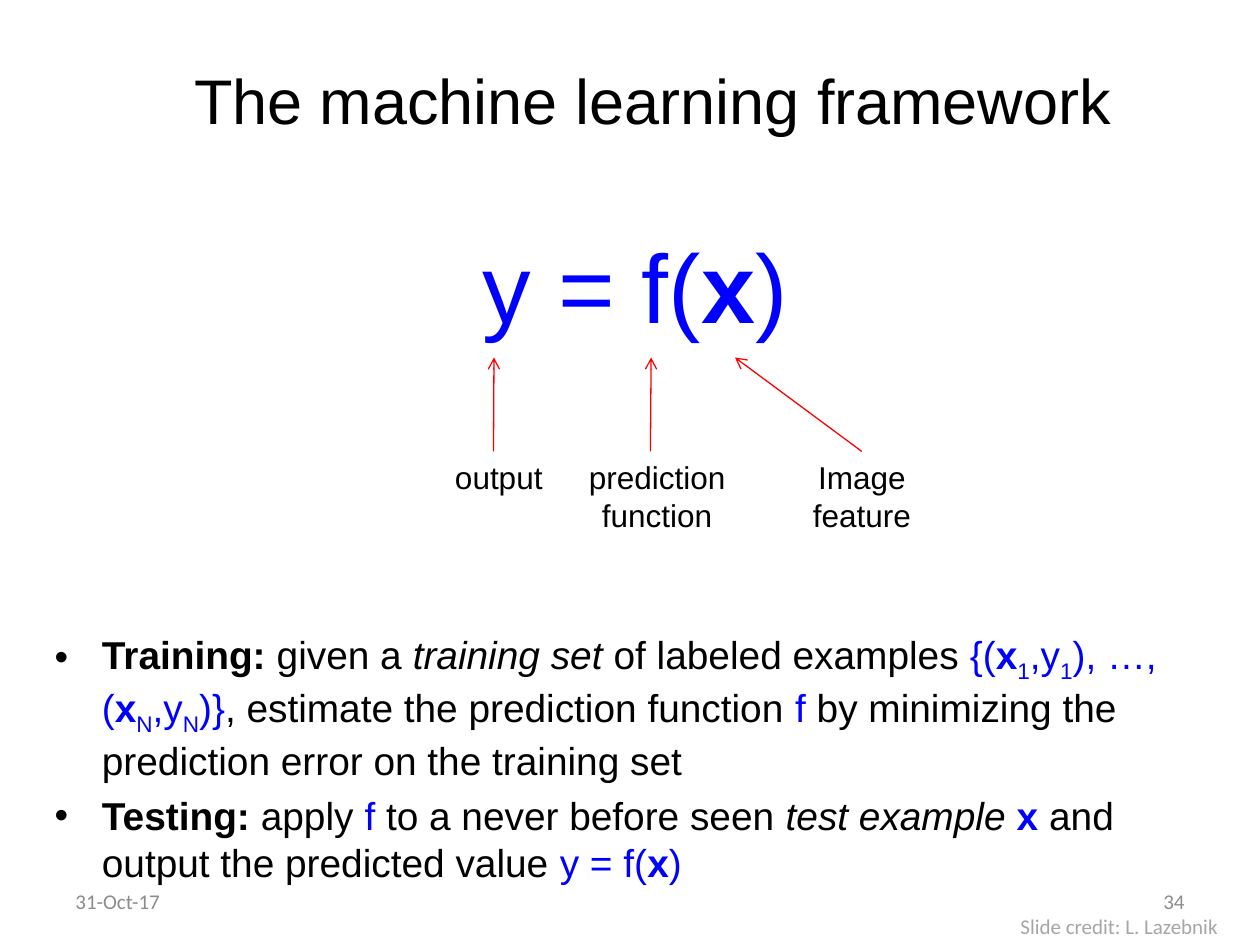
from dataclasses import dataclass

from lxml import etree
from pptx import Presentation
from pptx.dml.color import RGBColor
from pptx.enum.shapes import MSO_CONNECTOR
from pptx.enum.text import MSO_ANCHOR, MSO_AUTO_SIZE, PP_ALIGN
from pptx.oxml.ns import qn
from pptx.util import Pt

LEFT, CENTER, RIGHT = PP_ALIGN.LEFT, PP_ALIGN.CENTER, PP_ALIGN.RIGHT
TOP, MIDDLE = MSO_ANCHOR.TOP, MSO_ANCHOR.MIDDLE
NO_AUTOFIT = MSO_AUTO_SIZE.NONE
STRAIGHT = MSO_CONNECTOR.STRAIGHT
BOLD, ITALIC, MATH, SUB = "bold", "italic", "math", "sub"


@dataclass(frozen=True)
class Theme:
    text: RGBColor = RGBColor(0x00, 0x00, 0x00)
    math: RGBColor = RGBColor(0x00, 0x00, 0xFF)
    arrow: RGBColor = RGBColor(0xFF, 0x00, 0x00)
    footer: RGBColor = RGBColor(0x8C, 0x8C, 0x8C)
    credit: RGBColor = RGBColor(0xA6, 0xA6, 0xA6)
    font: str = "Arial"
    footer_font: str = "Calibri"
    title_size: float = 36
    formula_size: float = 55.5
    body_size: float = 22.2
    label_size: float = 18
    footer_size: float = 12


class SlideBuilder:
    def __init__(self, page, theme):
        self.page = page
        self.theme = theme

    def place(self, shape, left, top, width, height):
        shape.left, shape.top = Pt(left), Pt(top)
        shape.width, shape.height = Pt(width), Pt(height)

    def add_span(self, para, text, size, marks=(), color=None, font=None):
        span = para.add_run()
        span.text = text
        span.font.name = font or self.theme.font
        span.font.size = Pt(size)
        span.font.bold = BOLD in marks
        span.font.italic = ITALIC in marks
        span.font.color.rgb = self.theme.math if MATH in marks else color or self.theme.text
        if SUB in marks:
            span._r.get_or_add_rPr().set("baseline", "-25000")

    def title(self, text, left, top, width, height):
        box = self.page.shapes.title
        self.place(box, left, top, width, height)
        frame = box.text_frame
        frame.vertical_anchor = MIDDLE
        frame.paragraphs[0].alignment = CENTER
        self.add_span(frame.paragraphs[0], text, self.theme.title_size)

    def body(self, formula, bullets, gaps, left, top, width, height):
        """Fill the body with a centred formula, then bullets with the given gaps above."""
        box = self.page.placeholders[1]
        self.place(box, left, top, width, height)
        frame = box.text_frame
        frame.auto_size = NO_AUTOFIT
        para = frame.paragraphs[0]
        self.set_bullet(para, None, 0)
        para.alignment = CENTER
        para.space_before = Pt(0)
        for text, *marks in formula:
            self.add_span(para, text, self.theme.formula_size, marks)
        for spans, gap in zip(bullets, gaps):
            para = frame.add_paragraph()
            self.set_bullet(para, "•", 27)
            para.space_before = Pt(gap)
            for text, *marks in spans:
                self.add_span(para, text, self.theme.body_size, marks)

    def set_bullet(self, para, mark, indent):
        properties = para._p.get_or_add_pPr()
        properties.set("marL", str(Pt(indent)))
        properties.set("indent", str(-Pt(indent)))
        if mark:
            etree.SubElement(properties, qn("a:buChar")).set("char", mark)
        else:
            etree.SubElement(properties, qn("a:buNone"))

    def text(self, text, left, top, width, height, size, align=LEFT,
             anchor=TOP, color=None, font=None, wrap=True):
        box = self.page.shapes.add_textbox(Pt(left), Pt(top), Pt(width), Pt(height))
        frame = box.text_frame
        frame.word_wrap = wrap
        frame.vertical_anchor = anchor
        para = frame.paragraphs[0]
        para.alignment = align
        self.add_span(para, text, size, color=color, font=font)
        return box

    def label(self, text, left, width, height):
        return self.text(text, left, 258, width, height, self.theme.label_size, CENTER)

    def footer(self, text, left, top, width, height, color, align=LEFT, anchor=MIDDLE, wrap=True):
        self.text(text, left, top, width, height, self.theme.footer_size,
                  align, anchor, color, self.theme.footer_font, wrap)

    def arrow(self, start_x, end_x, label=None):
        """Point from the label row up to the formula, joined to a label if one is given."""
        line = self.page.shapes.add_connector(
            STRAIGHT, Pt(start_x), Pt(258), Pt(end_x), Pt(204.3))
        if label is not None:
            line.begin_connect(label, 0)
        line.line.color.rgb = self.theme.arrow
        line.line.width = Pt(0.75)
        etree.SubElement(line.line._get_or_add_ln(), qn("a:tailEnd")).set("type", "arrow")
        etree.SubElement(line._element.spPr, qn("a:effectLst"))


FORMULA = [("y = f(", MATH), ("x", MATH, BOLD), (")", MATH)]
TRAINING = [
    ("Training: ", BOLD), ("given a ",), ("training set ", ITALIC),
    ("of labeled examples ",),
    ("{(", MATH), ("x", MATH, BOLD), ("1", MATH, SUB), (",y", MATH), ("1", MATH, SUB),
    ("), …, (", MATH), ("x", MATH, BOLD), ("N", MATH, SUB), (",y", MATH), ("N", MATH, SUB),
    (")}", MATH), (", estimate the prediction function ",), ("f ", MATH),
    ("by minimizing the prediction error on the training set",),
]
TESTING = [
    ("Testing:", BOLD), (" apply ",), ("f", MATH), (" to a never before seen ",),
    ("test example ", ITALIC), ("x", MATH, BOLD),
    (" and output the predicted value ",), *FORMULA,
]


def main():
    deck = Presentation()
    deck.slide_width, deck.slide_height = Pt(720), Pt(540)
    theme = Theme()
    slide = SlideBuilder(deck.slides.add_slide(deck.slide_layouts[1]), theme)

    slide.title("The machine learning framework ", 72, 12, 612, 90)
    slide.body(FORMULA, [TRAINING, TESTING], [164.2, 5], 24, 126, 678, 356.4)

    slide.label("output", 252.5, 65, 29)
    slide.label("prediction function", 301, 149, 51)
    feature = slide.label("Image feature", 433, 119, 51)
    slide.arrow(282, 282.3)
    slide.arrow(371.7, 372.1)
    slide.arrow(492.5, 420, feature)

    slide.footer("Slide credit: L. Lazebnik", 576, 518.4, 142.6, 21.6,
                 theme.credit, anchor=TOP, wrap=False)
    slide.footer("31-Oct-17", 36, 500.5, 168, 28.75, theme.footer)
    slide.footer("34", 516, 500.5, 168, 28.75, theme.footer, RIGHT)

    deck.save("out.pptx")


if __name__ == "__main__":
    main()
